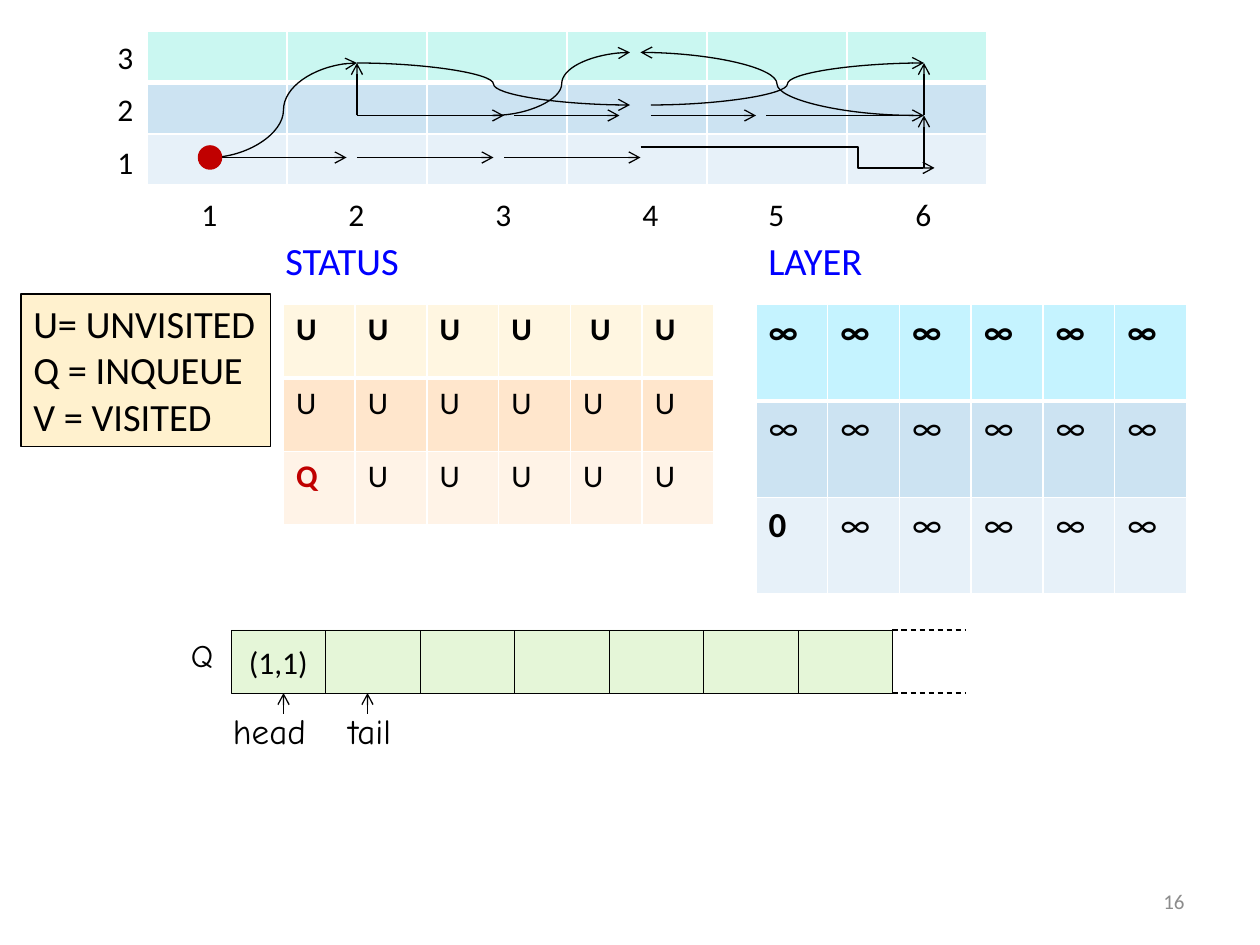
from lxml import etree
from pptx import Presentation
from pptx.dml.color import RGBColor
from pptx.enum.dml import MSO_LINE
from pptx.enum.shapes import MSO_CONNECTOR, MSO_SHAPE
from pptx.enum.text import MSO_ANCHOR, MSO_AUTO_SIZE, PP_ALIGN
from pptx.oxml.ns import qn
from pptx.util import Inches, Pt

STRAIGHT, ELBOW, CURVE = MSO_CONNECTOR.STRAIGHT, MSO_CONNECTOR.ELBOW, MSO_CONNECTOR.CURVE
RECTANGLE, OVAL = MSO_SHAPE.RECTANGLE, MSO_SHAPE.OVAL
LEFT, CENTER, RIGHT = PP_ALIGN.LEFT, PP_ALIGN.CENTER, PP_ALIGN.RIGHT
TOP, MIDDLE = MSO_ANCHOR.TOP, MSO_ANCHOR.MIDDLE
FIT, DASH = MSO_AUTO_SIZE.SHAPE_TO_FIT_TEXT, MSO_LINE.DASH

BLACK = RGBColor(0x00, 0x00, 0x00)
GRAY = RGBColor(0x8C, 0x8C, 0x8C)
RED = RGBColor(0xC0, 0x00, 0x00)
BLUE = RGBColor(0x00, 0x00, 0xFF)
MINT = RGBColor(0xCA, 0xF7, 0xF1)
CYAN = RGBColor(0xC5, 0xF3, 0xFF)
SKY = RGBColor(0xCC, 0xE3, 0xF2)
ICE = RGBColor(0xE7, 0xF1, 0xF9)
CREAM = RGBColor(0xFF, 0xF6, 0xE1)
PEACH = RGBColor(0xFF, 0xE6, 0xCC)
BLUSH = RGBColor(0xFF, 0xF3, 0xE7)
SAND = RGBColor(0xFF, 0xF1, 0xCE)
GREEN = RGBColor(0xE5, 0xF6, 0xD8)

BODY, HAND = "Calibri", "Comic Neue"
COLUMNS, ROWS = 120, 90


def write_text(frame, text, size=18, font=BODY, color=BLACK, bold=False, align=LEFT):
    """Write each line of the text as a formatted paragraph."""
    for index, line in enumerate(text.split("\n")):
        paragraph = frame.add_paragraph() if index else frame.paragraphs[0]
        paragraph.alignment = align
        run = paragraph.add_run()
        run.text = line
        run.font.size, run.font.name, run.font.bold = Pt(size), font, bold
        run.font.color.rgb = color


class GridSlide:
    """A slide whose elements are placed in columns and rows of a grid."""

    def __init__(self, presentation):
        self.slide = presentation.slides.add_slide(presentation.slide_layouts[6])
        self.shapes = self.slide.shapes
        self.column = presentation.slide_width / COLUMNS
        self.row = presentation.slide_height / ROWS

    def box(self, left, top, width, height):
        return (round(left * self.column), round(top * self.row),
                round(width * self.column), round(height * self.row))

    def label(self, text, left, top, width, height=4.8, **style):
        frame = self.shapes.add_textbox(*self.box(left, top, width, height)).text_frame
        frame.word_wrap = False
        frame.auto_size = FIT
        write_text(frame, text, **style)
        return frame

    def shape(self, kind, left, top, width, height, fill, line=BLACK, weight=0.75,
              text="", anchor=MIDDLE, **style):
        shape = self.shapes.add_shape(kind, *self.box(left, top, width, height))
        shape.shadow.inherit = False
        shape.fill.solid()
        shape.fill.fore_color.rgb = fill
        shape.line.color.rgb = line
        shape.line.width = Pt(weight)
        if text:
            shape.text_frame.word_wrap = False
            shape.text_frame.vertical_anchor = anchor
            write_text(shape.text_frame, text, **style)

    def connector(self, start, end, kind=STRAIGHT, arrow=True, bend=None):
        connector = self.shapes.add_connector(kind, *self.box(*start, *end))
        connector.line.color.rgb = BLACK
        connector.line.width = Pt(0.75)
        properties = connector._element.spPr
        if arrow:
            etree.SubElement(properties.find(qn("a:ln")), qn("a:tailEnd"), type="arrow")
        else:
            connector.line.dash_style = DASH
        if bend:
            geometry = properties.find(qn("a:prstGeom"))
            values = geometry.find(qn("a:avLst"))
            if values is None:
                values = etree.SubElement(geometry, qn("a:avLst"))
            etree.SubElement(values, qn("a:gd"), name="adj1", fmla=f"val {round(bend * 100000)}")
        etree.SubElement(properties, qn("a:effectLst"))

    def border(self, cell, side, weight):
        properties = cell._tc.get_or_add_tcPr()
        line = etree.SubElement(properties, qn(f"a:ln{side}"), w=str(Pt(weight)))
        fill = etree.SubElement(line, qn("a:solidFill"))
        etree.SubElement(fill, qn("a:srgbClr"), val="FFFFFF")

    def table(self, left, top, width, height, fills, texts=None, **style):
        box = self.box(left, top, width, height)
        table = self.shapes.add_table(len(fills), 6, *box).table
        table.first_row = table.horz_banding = False
        for y, fill in enumerate(fills):
            table.rows[y].height = round(box[3] / len(fills))
            for x in range(6):
                cell = table.cell(y, x)
                weights = {"L": 1, "R": 1, "T": 3 if y == 1 else 1, "B": 3 if y == 0 else 1}
                for side, weight in weights.items():
                    self.border(cell, side, weight)
                cell.fill.solid()
                cell.fill.fore_color.rgb = fill
                if texts:
                    text = texts[y][x]
                    write_text(cell.text_frame, text, bold=y == 0 or text in "Q0",
                               color=RED if text == "Q" else BLACK, **style)


def build():
    """Build the search slide and save it."""
    presentation = Presentation()
    presentation.slide_width, presentation.slide_height = Inches(10), Inches(7.5)
    page = GridSlide(presentation)

    number = page.label("16", 86, 83.4, 28, size=12, color=GRAY, align=RIGHT)
    number.word_wrap = True
    number.vertical_anchor = MIDDLE

    page.table(14, 3, 80, 14.64, [MINT, SKY, ICE])
    for index, left in enumerate([18, 32, 46, 60, 72, 86], 1):
        page.label(str(index), left, 18, 4)
    for index in range(3):
        page.label(str(3 - index), 10, 3 + 5 * index, 4)

    arrows = [
        ((20, 15), (33, 15)), ((34, 15), (47, 15)), ((48, 15), (61, 15)),
        ((34, 11), (34, 6)), ((34, 11), (48, 11)), ((49, 11), (59, 11)),
        ((62, 11), (72, 11)), ((73, 11), (88, 11)),
        ((88, 16), (88, 11)), ((88, 11), (88, 6)),
    ]
    curves = [
        ((20, 15), (34, 6)), ((34, 6), (60, 10)), ((62, 10), (88, 6)),
        ((47, 11), (60, 5)), ((87, 11), (61, 5)),
    ]
    for start, end in arrows:
        page.connector(start, end)
    for start, end in curves:
        page.connector(start, end, CURVE)
    page.connector((61, 14), (89, 16), ELBOW, bend=0.74)

    status = [["U"] * 4 + [" U", "U"], ["U"] * 6, ["Q"] + ["U"] * 5]
    layer = [["∞"] * 6, ["∞"] * 6, ["0"] + ["∞"] * 5]
    page.table(27, 29, 41, 21, [CREAM, PEACH, BLUSH], status)
    page.table(72, 29, 41, 27.6, [CYAN, SKY, ICE], layer, size=20)
    page.label("STATUS", 26, 22, 13.3, 5.6, size=22, color=BLUE)
    page.label("LAYER", 72, 22, 11.5, 5.6, size=22, color=BLUE)
    page.shape(RECTANGLE, 2, 28, 23.8, 14.5, SAND, anchor=TOP, size=22,
               text="U= UNVISITED\nQ = INQUEUE\nV = VISITED")

    page.label("Q", 17, 60, 5, font=HAND)
    for index in range(7):
        page.shape(RECTANGLE, 22 + 9 * index, 60, 9, 6, GREEN, weight=0.25,
                   text="" if index else "(1,1)", align=CENTER)
    for top in (60, 66):
        page.connector((85, top), (92, top), arrow=False)
    for text, left, width, tip in (("head", 21, 10, 27), ("tail", 32, 7.5, 35)):
        page.label(text, left, 67, width, 5.25, size=20, font=HAND)
        page.connector((tip, 68), (tip, 66))

    page.shape(OVAL, 19, 14, 2, 2, RED, line=RED, weight=2)
    presentation.save("out.pptx")


build()
